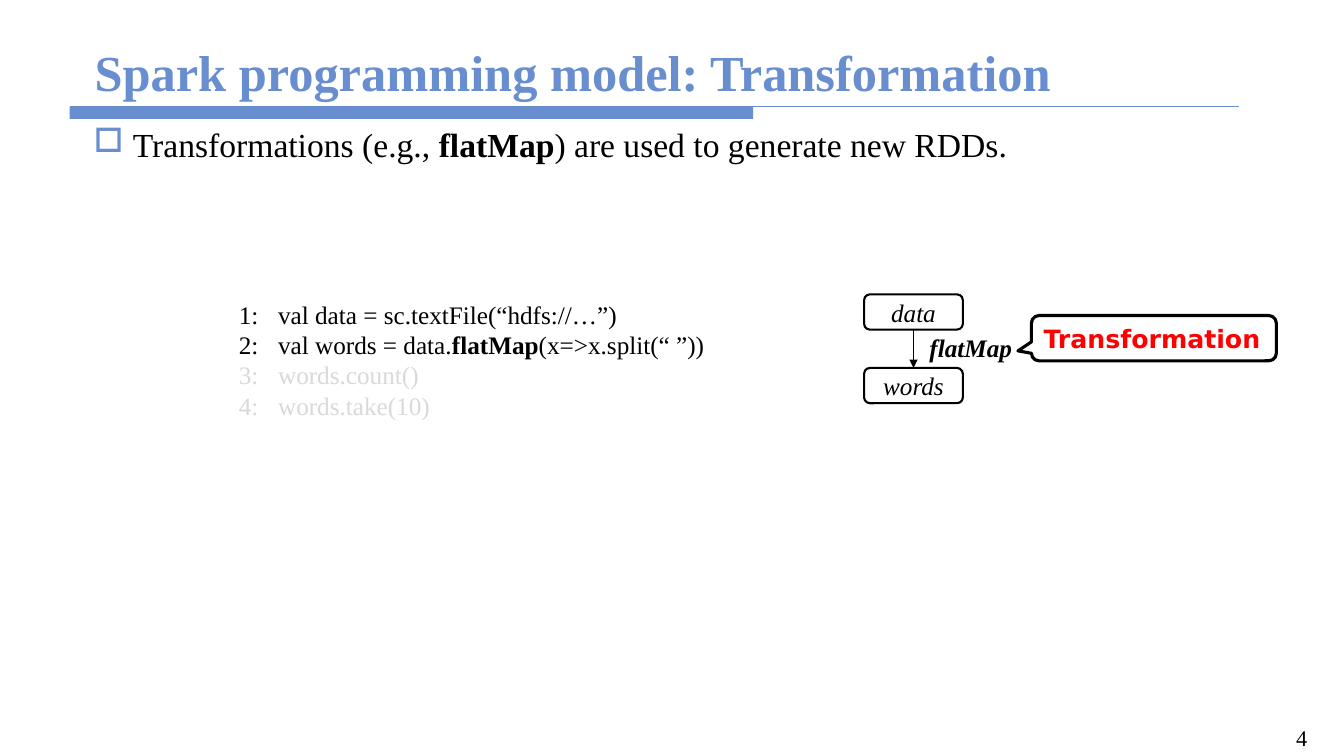
import pptx
import pptx.dml.color
import pptx.enum.shapes
import pptx.enum.text
import pptx.oxml
import pptx.oxml.ns
import pptx.util
from pptx.util import Inches, Pt

SERIF = "Times New Roman"
BLUE, BLACK, GREY, WHITE, RED = "698ECF", "000000", "D9D9D9", "FFFFFF", "FF0000"
SHAPES = pptx.enum.shapes.MSO_SHAPE
STRAIGHT = pptx.enum.shapes.MSO_CONNECTOR.STRAIGHT
CENTER = pptx.enum.text.PP_ALIGN.CENTER
MIDDLE = pptx.enum.text.MSO_ANCHOR.MIDDLE


def color(hex_string):
    return pptx.dml.color.RGBColor.from_string(hex_string)


def write(paragraph, parts, size, text_color=BLACK, name=SERIF, italic=False):
    """Add the parts as runs, with every second one in bold."""
    font = paragraph.font
    font.size, font.name, font.italic = Pt(size), name, italic
    font.color.rgb = color(text_color)
    for index, part in enumerate(parts):
        if part:
            run = paragraph.add_run()
            run.text = part
            run.font.bold = index % 2 == 1


presentation = pptx.Presentation()
presentation.slide_width = Inches(13.33)
presentation.slide_height = Inches(7.5)
slide = presentation.slides.add_slide(presentation.slide_layouts[6])
shapes = slide.shapes

# Rule under the title
bar = shapes.add_shape(SHAPES.RECTANGLE, Inches(0.69), Inches(1.06), Inches(6.78), Inches(0.12))
bar.shadow.inherit = False
bar.fill.solid()
bar.fill.fore_color.rgb = color(BLUE)
bar.line.fill.background()

# Title rule and arrow from data to words
for x1, y1, x2, y2, line_color, width, has_arrow in [
    (0.69, 1.06, 12.29, 1.06, BLUE, 0.75, False),
    (9.06, 3.27, 9.06, 3.65, BLACK, 1, True),
]:
    connector = shapes.add_connector(STRAIGHT, Inches(x1), Inches(y1), Inches(x2), Inches(y2))
    connector.line.color.rgb = color(line_color)
    connector.line.width = Pt(width)
    if has_arrow:
        arrowhead = pptx.oxml.ns.qn("a:tailEnd")
        connector.line._get_or_add_ln().makeelement(arrowhead)
        pptx.oxml.xmlchemy.OxmlElement("a:tailEnd")
        tail = connector.line._get_or_add_ln().makeelement(arrowhead, {"type": "triangle"})
        connector.line._get_or_add_ln().append(tail)
    properties = connector._element.spPr
    properties.append(properties.makeelement(pptx.oxml.ns.qn("a:effectLst")))

# Text boxes
frames = {}
for key, left, top, width, height in [
    ("title", 0.84, 0.33, 11.67, 0.73),
    ("body", 0.83, 1.18, 11.67, 6.28),
    ("code", 2.15, 2.92, 5.02, 1.31),
    ("arrow label", 9.12, 3.25, 1.12, 0.4),
    ("page number", 12.49, 7.13, 0.84, 0.35),
]:
    box = shapes.add_textbox(Inches(left), Inches(top), Inches(width), Inches(height))
    frames[key] = box.text_frame
    frames[key].word_wrap = True

frames["title"].vertical_anchor = pptx.enum.text.MSO_ANCHOR.BOTTOM
write(frames["title"].paragraphs[0], ["", "Spark programming model: Transformation"], 36, BLUE)

bullet = frames["body"].paragraphs[0]
bullet.space_before = Pt(3)
write(bullet, ["Transformations (e.g., ", "flatMap", ") are used to generate new RDDs."], 24)
bullet_properties = bullet._p.get_or_add_pPr()
bullet_properties.set("marL", str(Inches(0.39)))
bullet_properties.set("indent", str(-Inches(0.39)))
bullet_xml = pptx.oxml.parse_xml(
    f'<a:pPr {pptx.oxml.ns.nsdecls("a")}><a:buClr><a:srgbClr val="{BLUE}"/></a:buClr>'
    '<a:buChar char="□"/></a:pPr>'
)
default_run = bullet_properties.find(pptx.oxml.ns.qn("a:defRPr"))
for element in list(bullet_xml):
    default_run.addprevious(element)

code_lines = [
    (["val data = sc.textFile(“hdfs://…”)"], BLACK),
    (["val words = data.", "flatMap", "(x=>x.split(“ ”))"], BLACK),
    (["words.count()"], GREY),
    (["words.take(10)"], GREY),
]
for number, (parts, text_color) in enumerate(code_lines, 1):
    code = frames["code"]
    paragraph = code.paragraphs[0] if number == 1 else code.add_paragraph()
    write(paragraph, [f"{number}:\t{parts[0]}", *parts[1:]], 18, text_color)
    paragraph._p.get_or_add_pPr().set("marL", str(Inches(0.51)))
    paragraph._p.get_or_add_pPr().set("indent", str(-Inches(0.39)))

write(frames["arrow label"].paragraphs[0], ["", "flatMap"], 18, italic=True)
frames["page number"].paragraphs[0].alignment = CENTER
write(frames["page number"].paragraphs[0], ["4"], 16)

# RDD boxes and callout
data_box = shapes.add_shape(SHAPES.ROUNDED_RECTANGLE, Inches(8.57), Inches(2.92), Inches(0.98), Inches(0.35))
words_box = shapes.add_shape(SHAPES.ROUNDED_RECTANGLE, Inches(8.57), Inches(3.65), Inches(0.98), Inches(0.35))
callout = shapes.add_shape(
    SHAPES.ROUNDED_RECTANGULAR_CALLOUT, Inches(10.23), Inches(3.13), Inches(2.43), Inches(0.45)
)
for index, adjustment in enumerate([-0.555, 0.28, 0.17]):
    callout.adjustments[index] = adjustment

for shape, width in [(data_box, 1.5), (words_box, 1.5), (callout, 2.25)]:
    shape.shadow.inherit = False
    shape.fill.solid()
    shape.fill.fore_color.rgb = color(WHITE)
    shape.line.color.rgb = color(BLACK)
    shape.line.width = Pt(width)
    shape.text_frame.vertical_anchor = MIDDLE

for shape, label in [(data_box, "data"), (words_box, "words")]:
    shape.text_frame.paragraphs[0].alignment = CENTER
    write(shape.text_frame.paragraphs[0], [label], 18, italic=True)

callout.text_frame.word_wrap = False
callout.text_frame.paragraphs[0].alignment = pptx.enum.text.PP_ALIGN.LEFT
write(callout.text_frame.paragraphs[0], ["", "Transformation"], 18, RED, "DejaVu Sans")

presentation.save("out.pptx")
